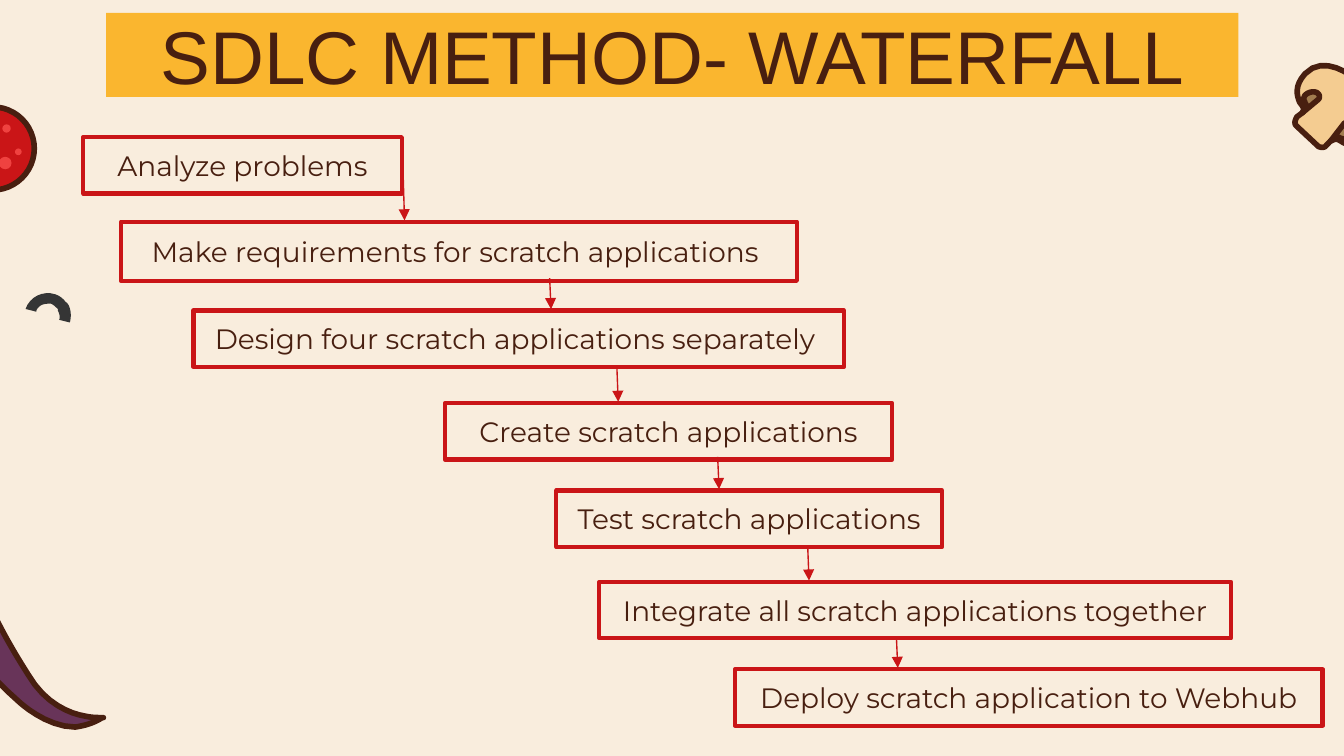
from dataclasses import dataclass

from lxml import etree
from pptx import Presentation
from pptx import util as u
from pptx.dml.color import RGBColor
from pptx.enum import shapes, text
from pptx.oxml.ns import qn

CELL = u.Inches(0.01)  # the slide is a grid of 1000 columns by 562.5 rows
FINE = 100             # freeform points per cell


@dataclass(frozen=True)
class Theme:
    cream: str = "F9EDDD"
    brown: str = "481F10"
    yellow: str = "FAB62F"
    red: str = "CA1517"
    spot: str = "EF4240"
    olive: str = "353535"
    cap: str = "F4CC91"
    gill: str = "A27D50"
    purple: str = "683459"
    title_font: str = "Arial"
    body_font: str = "Montserrat"
    title_size: int = 40
    body_size: int = 15
    outline: float = 3
    border: float = 2.25
    arrow: float = 0.75


T = Theme()

# Label, box (left, top, width, height), and where its arrow leaves:
# column, and rows above the box's bottom edge
STEPS = [
    ("Analyze problems", (62, 102, 237, 42), (300, 13)),
    ("Make requirements for scratch applications ", (90, 165, 503, 44), (409, 2)),
    ("Design four scratch applications separately ", (144, 231, 484, 42), (459, 0)),
    ("Create scratch applications", (331, 300, 333, 42), (534, 2)),
    ("Test scratch applications", (414, 365, 287, 42), (601, 0)),
    ("Integrate all scratch applications together", (446, 433, 470, 42), (667, 1)),
    ("Deploy scratch application to Webhub", (547, 498, 437, 42), None),
]

# Outlines: a pair is a corner, six numbers are a Bezier curve
OLIVE_RING = [
    (30, 7), (31, 7, 31, 8, 32, 9), (34, 13, 34, 18, 33, 22), (25, 20),
    (26, 18, 25, 15, 24, 13), (24, 12), (22, 10, 21, 9, 19, 8),
    (17, 8, 14, 8, 12, 9), (10, 10, 8, 12, 8, 14), (0, 12),
    (3, 3, 13, -2, 22, 1), (25, 2, 28, 4, 30, 7)]
MUSHROOM = [
    (60, 32), (65, 41, 68, 53, 58, 64), (57, 65), (55, 66, 47, 72, 36, 64),
    (34, 63, 31, 64, 30, 65), (27, 68), (26, 70, 23, 70, 21, 69), (5, 54),
    (4, 53), (3, 51, 4, 49, 5, 47), (9, 44), (10, 43, 11, 41, 9, 39),
    (9, 38), (8, 38, 8, 37, 7, 36), (5, 31, 3, 24, 11, 15),
    (25, 0, 46, 16, 51, 21), (53, 22, 57, 26, 60, 32)]
LEFT_GILL = [
    (21, 30), (22, 31, 22, 33, 21, 34), (9, 44), (12, 38),
    (11, 37, 11, 37, 11, 36), (9, 34, 11, 31, 11, 31),
    (14, 28, 18, 28, 20, 29), (21, 30)]
RIGHT_GILL = [
    (44, 52), (44, 53), (46, 55, 46, 58, 43, 62), (43, 62, 40, 65, 36, 62),
    (30, 65), (40, 52), (41, 51, 43, 51, 44, 52)]
EGGPLANT = [
    (26, 40), (25, 41, 19, 45, 22, 51), (22, 53, 22, 54, 20, 55),
    (19, 56, 17, 56, 16, 55), (12, 51, 7, 53, 3, 56),
    (7, 62, 19, 80, 44, 102), (44, 102, 64, 121, 86, 121),
    (93, 120, 100, 118, 106, 114), (107, 114), (103, 114, 99, 114, 94, 113),
    (82, 111, 64, 104, 51, 82), (37, 60, 30, 46, 27, 40)]


def paint(sp, fill=None, line=None, width=0):
    sp.shadow.inherit = False
    for part, color in ((sp.fill, fill), (sp.line.fill, line)):
        if color:
            part.solid()
            part.fore_color.rgb = RGBColor.from_string(color)
        else:
            part.background()
    if line:
        sp.line.width = u.Pt(width)


def preset(s, kind, box, **look):
    sp = s.shapes.add_shape(kind, *(int(n * CELL) for n in box))
    paint(sp, **look)
    return sp


def trace(outline, steps=8):
    """Return the outline as points, with each curve cut into short lines."""
    points = [outline[0]]
    for seg in outline[1:]:
        if len(seg) == 2:
            points.append(seg)
            continue
        ctrl = [points[-1], seg[:2], seg[2:4], seg[4:]]
        for i in range(1, steps + 1):
            t = i / steps
            weights = ((1 - t) ** 3, 3 * t * (1 - t) ** 2, 3 * t * t * (1 - t), t ** 3)
            points.append(tuple(sum(w * c[axis] for w, c in zip(weights, ctrl))
                                for axis in (0, 1)))
    return [(x * FINE, y * FINE) for x, y in points]


def freeform(s, origin, outline, **look):
    first, *rest = trace(outline)
    builder = s.shapes.build_freeform(*first, scale=CELL / FINE)
    builder.add_line_segments(rest, close=True)
    paint(builder.convert_to_shape(*(n * CELL for n in origin)), **look)


def label(sp, words, font, size, inset):
    tf = sp.text_frame
    margins = {f"margin_{side}": inset * CELL for side in ("left", "top", "right", "bottom")}
    frame = {"word_wrap": True, "vertical_anchor": text.MSO_ANCHOR.MIDDLE, **margins}
    for name, value in frame.items():
        setattr(tf, name, value)
    p = tf.paragraphs[0]
    p.alignment = text.PP_ALIGN.CENTER
    r = p.add_run()
    r.text = words
    for name, value in {"name": font, "size": u.Pt(size)}.items():
        setattr(r.font, name, value)
    r.font.color.rgb = RGBColor.from_string(T.brown)


def arrow(s, start, end):
    cx = s.shapes.add_connector(shapes.MSO_CONNECTOR.STRAIGHT, *(n * CELL for n in start + end))
    cx.line.color.rgb = RGBColor.from_string(T.red)
    cx.line.width = u.Pt(T.arrow)
    etree.SubElement(cx.line._get_or_add_ln(), qn("a:tailEnd"), type="triangle")
    etree.SubElement(cx._element.spPr, qn("a:effectLst"))


def pepperoni(s, box):
    x, y, w, h = box
    oval = shapes.MSO_SHAPE.OVAL
    preset(s, oval, box, fill=T.red, line=T.brown, width=T.outline)
    for dx, dy, size in ((0.77, 0.5, 0.08), (0.62, 0.21, 0.1), (0.58, 0.6, 0.15)):
        preset(s, oval, (x + dx * w, y + dy * h, size * w, size * h), fill=T.spot)


def toppings(s):
    inked = {"line": T.brown, "width": T.outline}
    freeform(s, (19, 218), OLIVE_RING, fill=T.olive)
    for outline, color in ((MUSHROOM, T.cap), (LEFT_GILL, T.gill), (RIGHT_GILL, T.gill)):
        freeform(s, (960, 40), outline, fill=color, **inked)
    freeform(s, (-30, 420), EGGPLANT, fill=T.purple, **inked)
    pepperoni(s, (-37, 79.5, 62.5, 62))


def title(s, box, words):
    sp = preset(s, shapes.MSO_SHAPE.RECTANGLE, box, fill=T.yellow)
    label(sp, words, T.title_font, T.title_size, 0)


def waterfall(s, steps):
    """Draw each step, and an arrow from it down to the top of the next."""
    for words, box, _ in steps:
        sp = preset(s, shapes.MSO_SHAPE.RECTANGLE, box, line=T.red, width=T.border)
        label(sp, words, T.body_font, T.body_size, 10)
    for (_, box, (x, rise)), (_, below, _) in zip(steps, steps[1:]):
        arrow(s, (x, box[1] + box[3] - rise), (x + 1, below[1] - 1))


def main():
    prs = Presentation()
    prs.slide_width, prs.slide_height = int(1000 * CELL), int(562.5 * CELL)
    s = prs.slides.add_slide(prs.slide_layouts[6])
    s.background.fill.solid()
    s.background.fill.fore_color.rgb = RGBColor.from_string(T.cream)
    toppings(s)
    title(s, (79, 9.6, 842.5, 62.6), "SDLC METHOD- WATERFALL")
    waterfall(s, STEPS)
    prs.save("out.pptx")


if __name__ == "__main__":
    main()
